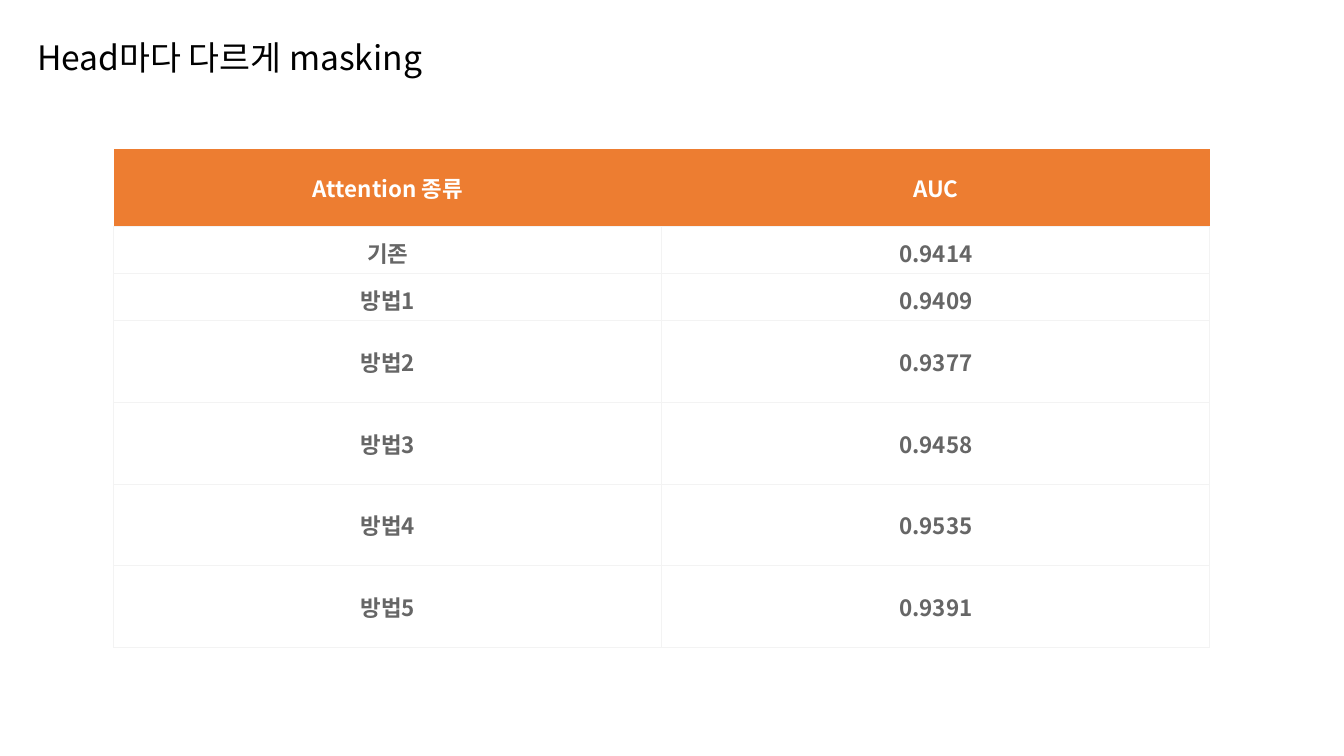
"""Build a slide with a table of AUC scores for each attention masking method."""
from lxml.etree import SubElement
from pptx import Presentation
from pptx.dml.color import RGBColor
from pptx.enum.text import MSO_ANCHOR as Anchor, PP_ALIGN as Align
from pptx.oxml.ns import qn
from pptx.util import Inches, Pt

FONT = "Noto Sans CJK KR"
BLACK = RGBColor(0x00, 0x00, 0x00)
WHITE = RGBColor(0xFF, 0xFF, 0xFF)
ORANGE = RGBColor(0xED, 0x7D, 0x31)
GRAY = RGBColor(0x66, 0x66, 0x66)
BORDER = RGBColor(0xF3, 0xF3, 0xF3)

ROWS = [
    ("Attention 종류", "AUC"),
    ("기존", "0.9414"),
    ("방법1", "0.9409"),
    ("방법2", "0.9377"),
    ("방법3", "0.9458"),
    ("방법4", "0.9535"),
    ("방법5", "0.9391"),
]
ROW_HEIGHTS = [0.77] + [0.4] * 2 + [0.81] * 4


def style_text(p, size, color, bold=False):
    for r in p.runs:
        r.font.name = FONT
        r.font.size = Pt(size)
        r.font.bold = bold
        r.font.color.rgb = color
        SubElement(r.font._element, qn("a:ea"), typeface=FONT)


def add_border(cell, side, color=None):
    ln = SubElement(cell._tc.get_or_add_tcPr(), qn(f"a:ln{side}"), w=str(Pt(0.75)))
    if color is None:
        SubElement(ln, qn("a:noFill"))
    else:
        fill = SubElement(ln, qn("a:solidFill"))
        SubElement(fill, qn("a:srgbClr"), val=str(color))


prs = Presentation()
prs.slide_width = Inches(13.33)
prs.slide_height = Inches(7.5)
s = prs.slides.add_slide(prs.slide_layouts[6])

title = s.shapes.add_textbox(Inches(0.27), Inches(-0.13), Inches(11.5), Inches(1.45))
tf = title.text_frame
tf.word_wrap = True
tf.vertical_anchor = Anchor.MIDDLE
tf.text = "Head마다 다르게 masking"
p = tf.paragraphs[0]
p.line_spacing = 0.9
style_text(p, 24, BLACK)

table = s.shapes.add_table(
    len(ROWS), 2, Inches(1.13), Inches(1.48), Inches(10.87), Inches(sum(ROW_HEIGHTS))
).table

for i, (values, height) in enumerate(zip(ROWS, ROW_HEIGHTS)):
    header = i == 0
    table.rows[i].height = Inches(height)
    for j, value in enumerate(values):
        cell = table.cell(i, j)
        cell.margin_left = cell.margin_right = Inches(0.1)
        cell.margin_top = cell.margin_bottom = Inches(0.1)
        cell.vertical_anchor = Anchor.MIDDLE
        for side in "LRTB":
            add_border(cell, side, None if header and side != "B" else BORDER)
        cell.fill.solid()
        cell.fill.fore_color.rgb = ORANGE if header else WHITE
        cell.text_frame.text = value
        p = cell.text_frame.paragraphs[0]
        p.alignment = Align.CENTER
        style_text(p, 16, WHITE if header else GRAY, bold=True)

prs.save("out.pptx")
